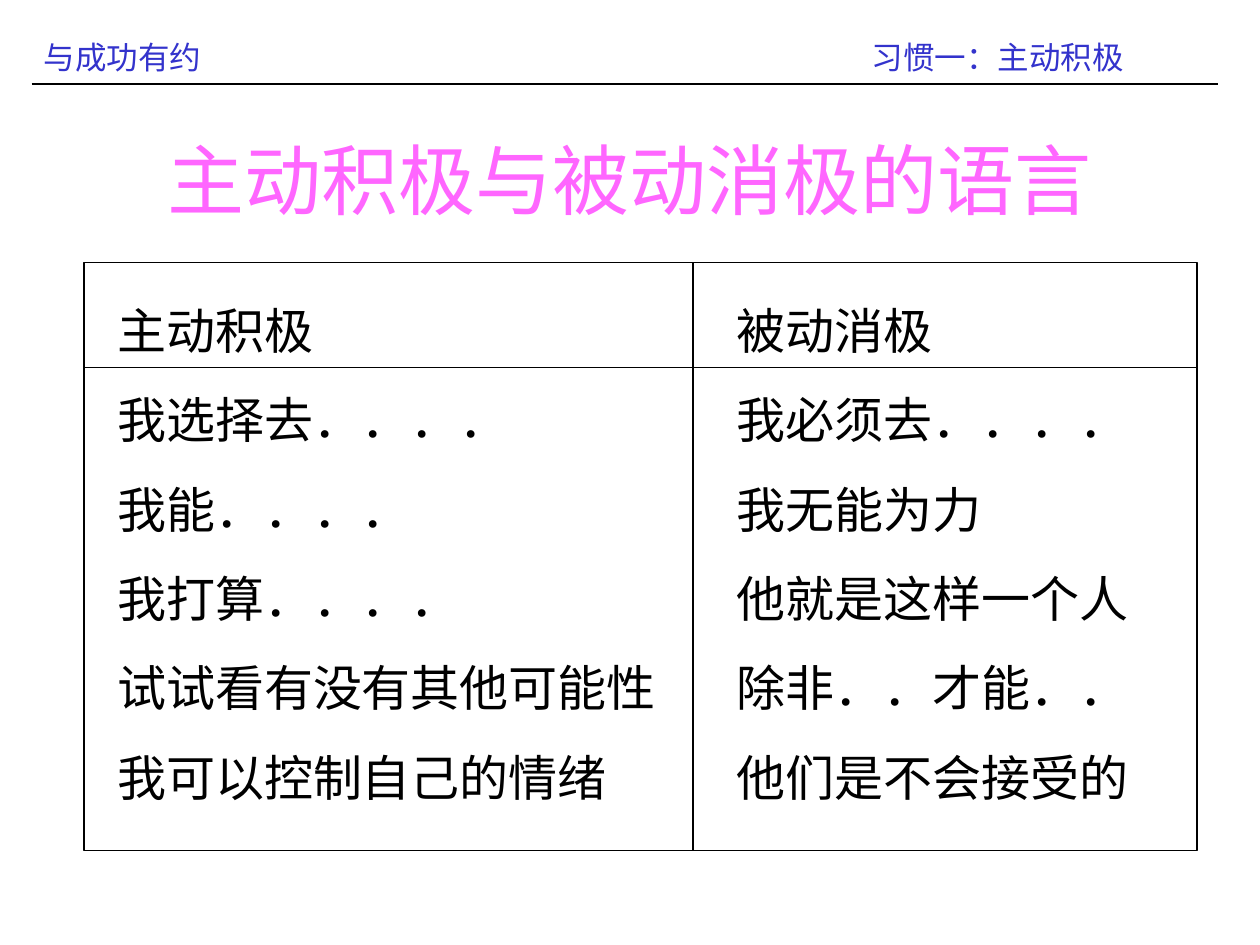
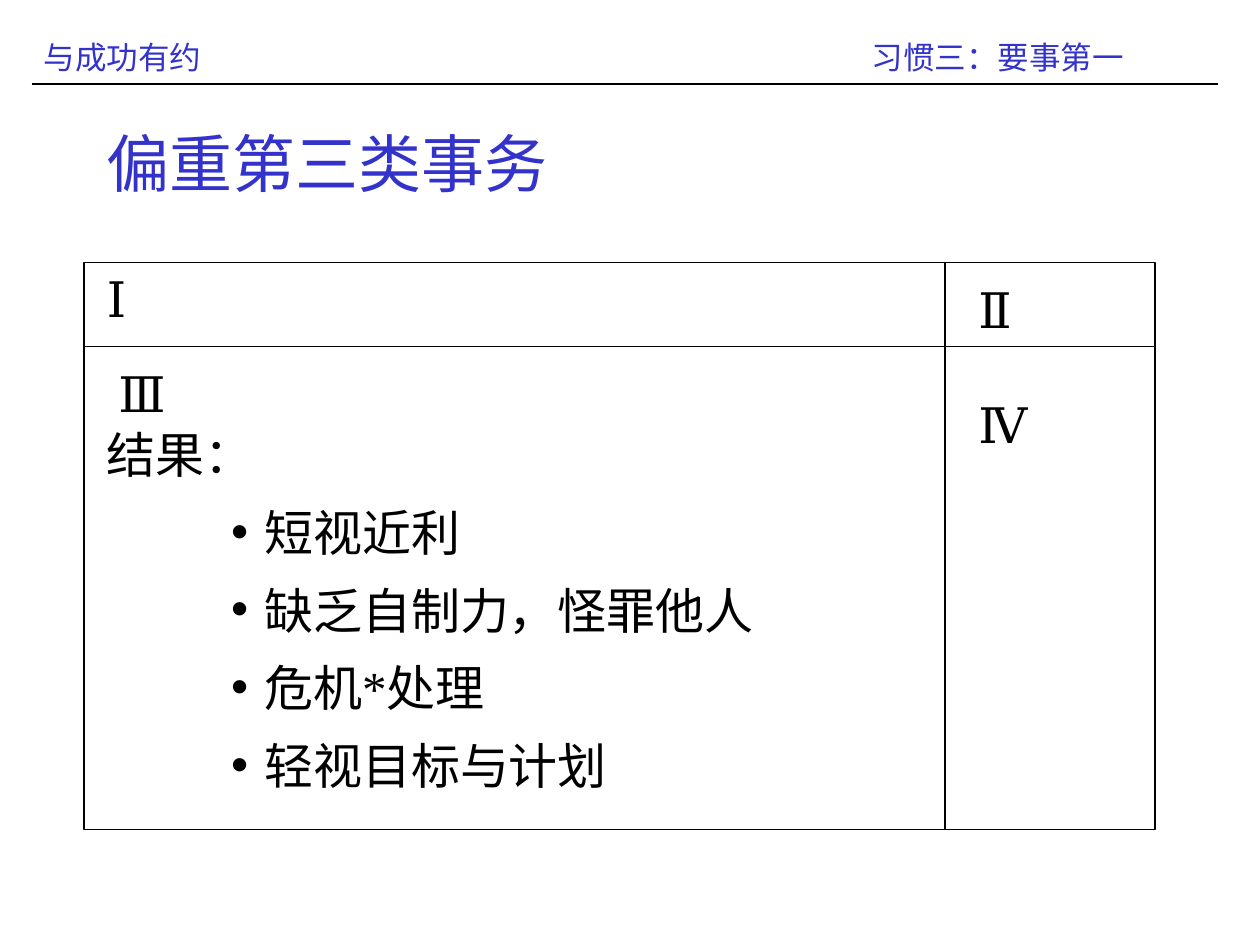
"""Build two slides on proactive language and the third kind of affairs."""
import lxml.etree
import pptx
import pptx.dml.color
import pptx.enum.lang
import pptx.enum.shapes
import pptx.enum.text
import pptx.oxml.ns
import pptx.util

Pt = pptx.util.Pt
qn = pptx.oxml.ns.qn
ALIGN = pptx.enum.text.PP_ALIGN
ANCHOR = pptx.enum.text.MSO_ANCHOR


def color(value):
    return pptx.dml.color.RGBColor.from_string(value)


class Deck:
    font = "Times New Roman"
    bullet_font = "Arial"
    black = "000000"
    blue = "3333CC"
    pink = "FF66FF"
    body_size = 28
    paragraph_gap = 17.5

    def __init__(self):
        self.presentation = pptx.Presentation()
        self.presentation.slide_width = Pt(720)
        self.presentation.slide_height = Pt(540)
        self.slide = None

    def new_slide(self, habit):
        self.slide = self.presentation.slides.add_slide(self.presentation.slide_layouts[6])
        self.line(18, 48, 696, 48)
        header = self.text(18, 18, 678, 29, [f"与成功有约\t{habit}"], 18, self.blue)
        tabs = lxml.etree.SubElement(header[0]._p.get_or_add_pPr(), qn("a:tabLst"))
        lxml.etree.SubElement(tabs, qn("a:tab"), pos=str(Pt(473)), algn="l")

    def text(self, left, top, width, height, lines, size=body_size, text_color=black,
             align=ALIGN.LEFT, anchor=ANCHOR.TOP):
        shape = self.slide.shapes.add_textbox(Pt(left), Pt(top), Pt(width), Pt(height))
        text_frame = shape.text_frame
        text_frame.word_wrap = True
        text_frame.vertical_anchor = anchor
        text_frame.text = "\n".join(lines)
        for index, paragraph in enumerate(text_frame.paragraphs):
            paragraph.alignment = align
            if index:
                paragraph.space_before = Pt(self.paragraph_gap)
            for run in paragraph.runs:
                run.font.name = self.font
                run.font.size = Pt(size)
                run.font.color.rgb = color(text_color)
                run.font.language_id = pptx.enum.lang.MSO_LANGUAGE_ID.SIMPLIFIED_CHINESE
        return text_frame.paragraphs

    def title(self, text, height, size, text_color, align=ALIGN.LEFT):
        self.text(54, 48, 612, height, [text], size, text_color, align, ANCHOR.MIDDLE)

    def bullet(self, paragraph, margin=90, hanging=19):
        properties = paragraph._p.get_or_add_pPr()
        properties.set("marL", str(Pt(margin)))
        properties.set("indent", str(-Pt(hanging)))
        lxml.etree.SubElement(properties, qn("a:buFont"), typeface=self.bullet_font)
        lxml.etree.SubElement(properties, qn("a:buChar"), char="•")

    def line(self, left, top, right, bottom):
        connector = self.slide.shapes.add_connector(
            pptx.enum.shapes.MSO_CONNECTOR.STRAIGHT, Pt(left), Pt(top), Pt(right), Pt(bottom))
        connector.line.color.rgb = color(self.black)
        connector.line.width = Pt(0.75)
        lxml.etree.SubElement(connector._element.spPr, qn("a:effectLst"))

    def quadrants(self, left, top, right, bottom, column, row):
        shape = self.slide.shapes.add_shape(
            pptx.enum.shapes.MSO_SHAPE.RECTANGLE,
            Pt(left), Pt(top), Pt(right - left), Pt(bottom - top))
        shape.shadow.inherit = False
        shape.fill.background()
        shape.line.color.rgb = color(self.black)
        shape.line.width = Pt(0.75)
        self.line(left, row, right, row)
        self.line(column, top, column, bottom)


def build_language_slide(deck):
    deck.new_slide("习惯一：主动积极")
    deck.title("主动积极与被动消极的语言", 108, 44, deck.pink, ALIGN.CENTER)
    proactive = ["主动积极", "我选择去．．．．", "我能．．．．", "我打算．．．．",
                 "试试看有没有其他可能性", "我可以控制自己的情绪"]
    reactive = ["被动消极", "我必须去．．．．", "我无能为力", "他就是这样一个人",
                "除非．．才能．．", "他们是不会接受的"]
    deck.text(60, 168, 324, 300, proactive)
    deck.text(414, 168, 270, 300, reactive)
    deck.quadrants(48, 150, 684, 486, column=396, row=210)


def build_affairs_slide(deck):
    deck.new_slide("习惯三：要事第一")
    deck.title("偏重第三类事务", 90, 36, deck.blue)
    deck.quadrants(48, 150, 660, 474, column=540, row=198)
    results = ["短视近利", "缺乏自制力，怪罪他人", "危机*处理", "轻视目标与计划"]
    paragraphs = deck.text(54, 150, 402, 307, ["Ⅰ", "结果：", *results])
    for paragraph in paragraphs[1:]:
        paragraph.line_spacing = 0.8
    paragraphs[1].space_before = Pt(62)
    for paragraph in paragraphs[2:]:
        deck.bullet(paragraph)
    for numeral, left, top in (("Ⅱ", 552, 156), ("Ⅳ", 552, 222), ("Ⅲ", 60.5, 204)):
        deck.text(left, top, 48, 41, [numeral])


def main():
    deck = Deck()
    build_language_slide(deck)
    build_affairs_slide(deck)
    deck.presentation.save("out.pptx")


if __name__ == "__main__":
    main()
